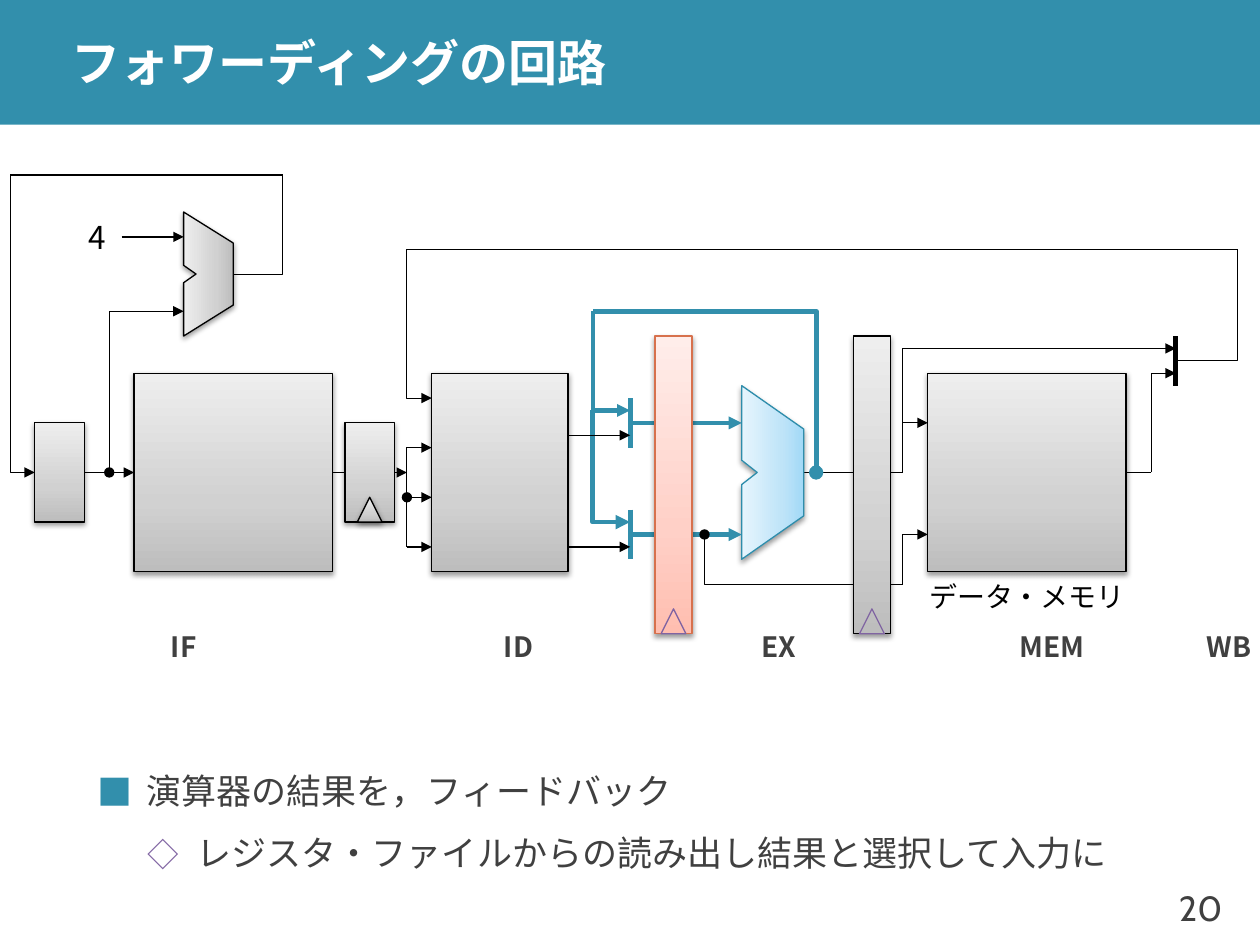
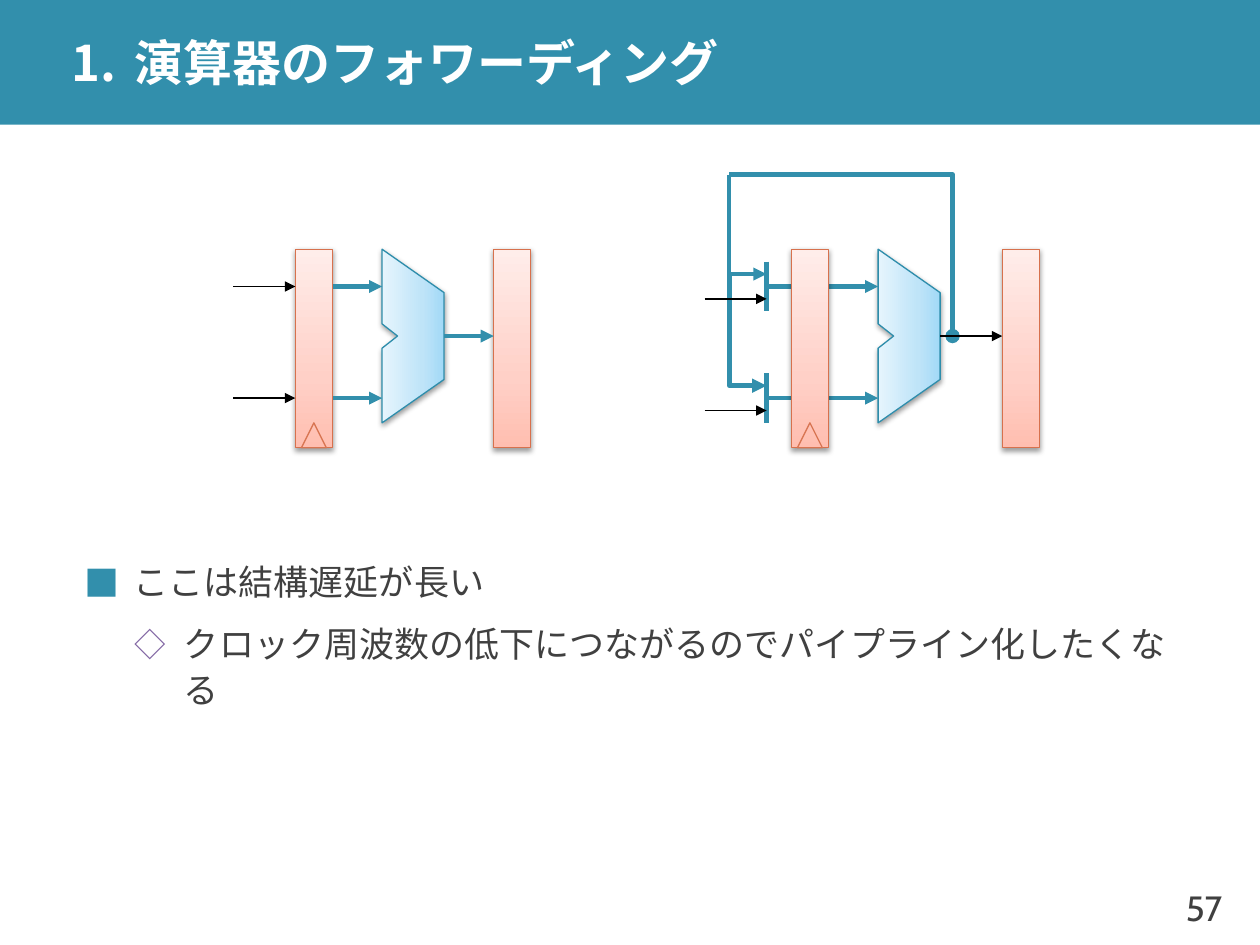
from lxml import etree
from pptx import Presentation
from pptx.dml.color import RGBColor
from pptx.enum.shapes import MSO_CONNECTOR, MSO_SHAPE
from pptx.enum.text import MSO_ANCHOR, MSO_AUTO_SIZE, PP_ALIGN
from pptx.oxml.ns import qn
from pptx.util import Inches, Mm, Pt

RECTANGLE, TRIANGLE = MSO_SHAPE.RECTANGLE, MSO_SHAPE.ISOSCELES_TRIANGLE
STRAIGHT = MSO_CONNECTOR.STRAIGHT
MIDDLE, NO_FIT = MSO_ANCHOR.MIDDLE, MSO_AUTO_SIZE.NONE
LEFT, CENTER, RIGHT = PP_ALIGN.LEFT, PP_ALIGN.CENTER, PP_ALIGN.RIGHT
LEFT_SIDE, RIGHT_SIDE = 1, 3

COLORS = {"teal": "328FAC", "text": "404040", "black": "000000",
          "white": "FFFFFF", "purple": "8064A2", "orange": "D87552"}
THEMES = {
    "gray": (("BDBDBD", "D1D1D1", "EEEEEE"), "000000"),
    "red": (("FFBEB0", "FFD0C7", "FFEDEA"), "D7714D"),
    "blue": (("A2D9F7", "BFE4F8", "E6F5FD"), "2E8DAB"),
}
STOPS = (0, 35, 100)
LATIN, JAPANESE = "Cabin", "Noto Sans CJK JP"

CELL = Mm(2.5)
GRID_LEFT, GRID_TOP = Inches(0.08), Inches(0.01)
BAND_HEIGHT = Inches(0.99)

PIPELINE = {
    "title": "フォワーディングの回路", "font": LATIN, "numbered": False, "number": "20",
    "body": (0.67, 6.11, 9.06, 0.79),
    "points": ["演算器の結果を，フィードバック",
               "レジスタ・ファイルからの読み出し結果と選択して入力に"],
}
DELAY = {
    "title": "演算器のフォワーディング", "font": JAPANESE, "numbered": True, "number": "57",
    "body": (0.57, 4.14, 9.06, 1.77),
    "points": ["ここは結構遅延が長い",
               "クロック周波数の低下につながるのでパイプライン化したくなる"],
}
BULLETS = [
    {"char": "■", "color": "teal", "size": 100, "indent": 0.39, "before": 0, "after": 6},
    {"char": "◇", "color": "purple", "size": 90, "indent": 0.79, "before": 3, "after": 3},
]
STAGES = [("IF", 6, 16), ("ID", 33, 16), ("EX", 54, 16), ("MEM", 76, 16), ("WB", 95.3, 6)]

PIPELINE_WIRES = [
    ("o->", [(8, 38), (8, 25), (14, 25)]),
    ("->", [(9, 19), (14, 19)]),
    ("->", [(0, 14), (0, 38), (2, 38)]),
    ("-", [(18, 22), (22, 22), (22, 14)]),
    ("-", [(0, 14), (22, 14)]),
    ("->", [(32, 44), (32, 36), (34, 36)]),
    ("o->", [(32, 40), (34, 40)]),
    ("->", [(32, 44), (34, 44)]),
    ("->", [(32, 20), (32, 32), (34, 32)]),
    ("-", [(99, 20), (32, 20)]),
    ("-", [(64, 38), (72, 38)]),
    ("->", [(72, 47), (72, 43), (74, 43)]),
    ("->", [(72, 38), (72, 34), (74, 34)]),
    ("->", [(72, 34), (72, 28), (94, 28)]),
    ("->", [(92, 38), (92, 30), (94, 30)]),
    ("-", [(94, 29), (99, 29), (99, 20)]),
]
OPERAND_ROWS = (-4, 5)
FEEDBACK = [
    ("o-", 2.75, [(15, 0), (15, -13), (-3, -13)]),
    ("-", 3, [(0, -6), (0, -2)]),
    ("-", 3, [(0, 3), (0, 7)]),
    ("->", 2.5, [(-3, -13), (-3, -5), (0, -5)]),
    ("->", 2.75, [(-3, -5), (-3, 4), (0, 4)]),
]
ALU_OUTLINE = [(0, 0), (1, 0.25), (1, 0.75), (0, 1), (0, 0.57), (0.25, 0.5), (0, 0.43)]


def spot(col, row):
    return int(GRID_LEFT + col * CELL), int(GRID_TOP + row * CELL)


def span_of(*cells):
    return [int(count * CELL) for count in cells]


def color(name):
    return RGBColor.from_string(COLORS.get(name, name))


def add_xml(parent, tag, **attributes):
    return etree.SubElement(parent, qn(tag), attributes)


def style(para, size, ink, font=JAPANESE, bold=False):
    for span in para.runs:
        span.font.size, span.font.bold, span.font.name = Pt(size), bold, font
        span.font.color.rgb = color(ink)
        add_xml(span.font._element, "a:ea", typeface=JAPANESE)


def set_frame(frame, wrap=False, margins=(0, 0, 0, 0)):
    frame.word_wrap, frame.auto_size, frame.vertical_anchor = wrap, NO_FIT, MIDDLE
    (frame.margin_left, frame.margin_top,
     frame.margin_right, frame.margin_bottom) = [Inches(side) for side in margins]


def label(page, text, place, size=16, ink="black", align=CENTER, font=JAPANESE,
          bold=False, margins=(0, 0, 0, 0)):
    box = page.shapes.add_textbox(*place)
    set_frame(box.text_frame, margins=margins)
    box.text_frame.text = text
    para = box.text_frame.paragraphs[0]
    para.alignment = align
    style(para, size, ink, font, bold)


def paint(shape, theme, angle):
    tones, edge = THEMES[theme]
    shape.fill.gradient()
    shape.fill.gradient_angle = angle
    stops = shape._element.spPr.find(".//" + qn("a:gsLst"))
    for stop in list(stops):
        stops.remove(stop)
    for share, tone in zip(STOPS, tones):
        stop = add_xml(stops, "a:gs", pos=str(share * 1000))
        add_xml(stop, "a:srgbClr", val=tone)
    shape.line.color.rgb, shape.line.width = color(edge), Pt(0.75)
    shape.shadow.inherit = False
    effects = shape._element.spPr.find(qn("a:effectLst"))
    shadow = add_xml(effects, "a:outerShdw", blurRad=str(Pt(3.1)), dist=str(Pt(1.6)),
                     dir="5400000", rotWithShape="0")
    black = add_xml(shadow, "a:srgbClr", val=COLORS["black"])
    add_xml(black, "a:alpha", val="38000")


def block(page, theme, col, row, width, height, preset=RECTANGLE):
    shape = page.shapes.add_shape(preset, *spot(col, row), *span_of(width, height))
    paint(shape, theme, 90)
    return shape


def register(page, theme, col, row, width, height, clock=None):
    block(page, theme, col, row, width, height)
    place = col + width / 2 - 1, row + height - 2
    if clock == "filled":
        block(page, theme, *place, 2, 2, TRIANGLE)
    elif clock:
        mark = page.shapes.add_shape(TRIANGLE, *spot(*place), *span_of(2, 2))
        mark.fill.background()
        mark.line.color.rgb, mark.line.width = color(clock), Pt(0.75)
        mark.shadow.inherit = False


def outline(page, points, close):
    builder = page.shapes.build_freeform(*spot(*points[0]))
    builder.add_line_segments([spot(*point) for point in points[1:]], close=close)
    return builder.convert_to_shape()


def alu(page, theme, col, row, width, height):
    points = [(col + x * width, row + y * height) for x, y in ALU_OUTLINE]
    paint(outline(page, points, True), theme, 180)


def wire(page, ends, points, ink="black", width=None, start=None, finish=None):
    if len(points) == 2:
        line = page.shapes.add_connector(STRAIGHT, *spot(*points[0]), *spot(*points[1]))
        add_xml(line._element.spPr, "a:effectLst")
        if start:
            line.begin_connect(start, RIGHT_SIDE)
        if finish:
            line.end_connect(finish, LEFT_SIDE)
    else:
        line = outline(page, points, False)
        line.fill.background()
        line.shadow.inherit = False
    line.line.color.rgb = color(ink)
    line.line.width = Pt(width or (0.75 if len(points) == 2 else 0.5))
    stroke = line._element.spPr.find(qn("a:ln"))
    if ends.startswith("o"):
        add_xml(stroke, "a:headEnd", type="oval")
    if ends.endswith(">"):
        add_xml(stroke, "a:tailEnd", type="triangle")


def forwarding(page, col, row, register_top, register_height, clock):
    def shift(points):
        return [(col + x, row + y) for x, y in points]

    alu(page, "blue", col + 9, row - 7, 5, 14)
    for y in OPERAND_ROWS:
        wire(page, "->", shift([(0, y), (9, y)]), "teal", 2.5)
    register(page, "red", col + 2, row + register_top, 3, register_height, clock)
    for ends, width, points in FEEDBACK:
        wire(page, ends, shift(points), "teal", width)
    for y in OPERAND_ROWS:
        wire(page, "->", shift([(-5, y + 1), (0, y + 1)]))


def add_page(deck, content):
    page = deck.slides.add_slide(deck.slide_layouts[1])
    band = page.shapes.add_shape(RECTANGLE, 0, 0, deck.slide_width, BAND_HEIGHT)
    band.fill.solid()
    band.fill.fore_color.rgb = color("teal")
    band.line.fill.background()
    band.shadow.inherit = False
    page.shapes._spTree.insert(2, band._element)

    title = page.shapes.title
    title.left, title.top = Inches(0.47), 0
    title.width, title.height = deck.slide_width - title.left, BAND_HEIGHT
    set_frame(title.text_frame, True, (0.1, 0, 0.1, 0))
    title.text_frame.text = content["title"]
    para = title.text_frame.paragraphs[0]
    para.alignment = LEFT
    if content["numbered"]:
        props = para._p.get_or_add_pPr()
        props.set("marL", str(Inches(0.5)))
        props.set("indent", str(Inches(-0.5)))
        add_xml(props, "a:buFont", typeface=JAPANESE)
        add_xml(props, "a:buAutoNum", type="arabicPeriod")
    style(para, 28, "white", content["font"], True)

    body = page.placeholders[1]
    body.left, body.top, body.width, body.height = [Inches(x) for x in content["body"]]
    set_frame(body.text_frame, True, (0.1, 0.05, 0.1, 0.05))
    body.text_frame.text = "\n".join(content["points"])
    for level, (para, bullet) in enumerate(zip(body.text_frame.paragraphs, BULLETS)):
        para.level, para.line_spacing = level, 1.1
        para.space_before, para.space_after = Pt(bullet["before"]), Pt(bullet["after"])
        props = para._p.get_or_add_pPr()
        props.set("marL", str(Inches(bullet["indent"])))
        props.set("indent", str(Inches(-0.39)))
        add_xml(add_xml(props, "a:buClr"), "a:srgbClr", val=COLORS[bullet["color"]])
        add_xml(props, "a:buSzPct", val=str(bullet["size"] * 1000))
        add_xml(props, "a:buFont", typeface=JAPANESE)
        add_xml(props, "a:buChar", char=bullet["char"])
        style(para, 20, "text", LATIN)

    place = [Inches(x) for x in (9.13, 6.9, 0.67, 0.6)]
    label(page, content["number"], place, 20, "text", RIGHT, LATIN,
          margins=(0.1, 0.05, 0.1, 0.05))
    return page


def draw_pipeline(page):
    counter = block(page, "gray", 2, 34, 4, 8)
    fetch = block(page, "gray", 10, 30, 16, 16)
    block(page, "gray", 34, 30, 11, 16)
    memory = block(page, "gray", 74, 30, 16, 16)
    alu(page, "gray", 14, 17, 4, 10)
    wire(page, "->", [(6, 38), (10, 38)], start=counter, finish=fetch)
    wire(page, "->", [(26, 38), (32, 38)], start=fetch)
    wire(page, "-", [(90, 38), (92, 38)], start=memory)
    for ends, points in PIPELINE_WIRES:
        wire(page, ends, points)
    wire(page, "-", [(94, 27), (94, 31)], width=3)
    register(page, "gray", 27, 34, 4, 8, "filled")
    forwarding(page, 50, 38, -11, 24, "purple")
    wire(page, "o-", [(56, 43), (56, 47), (72, 47)])
    register(page, "gray", 68, 27, 3, 24, "purple")
    label(page, "データ・メモリ", (*spot(74, 46), *span_of(16, 4)))
    label(page, "4", (*spot(5, 17), *span_of(4, 4)), 18)
    for name, col, width in STAGES:
        label(page, name, (*spot(col, 50), *span_of(width, 4)), ink="text", bold=True)


def draw_delay(page):
    forwarding(page, 61, 27, -7, 16, "orange")
    wire(page, "->", [(75, 27), (80, 27)])
    alu(page, "blue", 30, 20, 5, 14)
    register(page, "red", 23, 20, 3, 16, "orange")
    for offset in OPERAND_ROWS:
        row = 27 + offset
        wire(page, "->", [(26, row), (30, row)], "teal", 2.5)
        wire(page, "->", [(18, row), (23, row)])
    for col in (39, 80):
        register(page, "red", col, 20, 3, 16)
    wire(page, "->", [(35, 27), (39, 27)], "teal", 2.5)


def main():
    deck = Presentation()
    deck.slide_width, deck.slide_height = Inches(10), Inches(7.5)
    draw_pipeline(add_page(deck, PIPELINE))
    draw_delay(add_page(deck, DELAY))
    deck.save("out.pptx")


if __name__ == "__main__":
    main()
